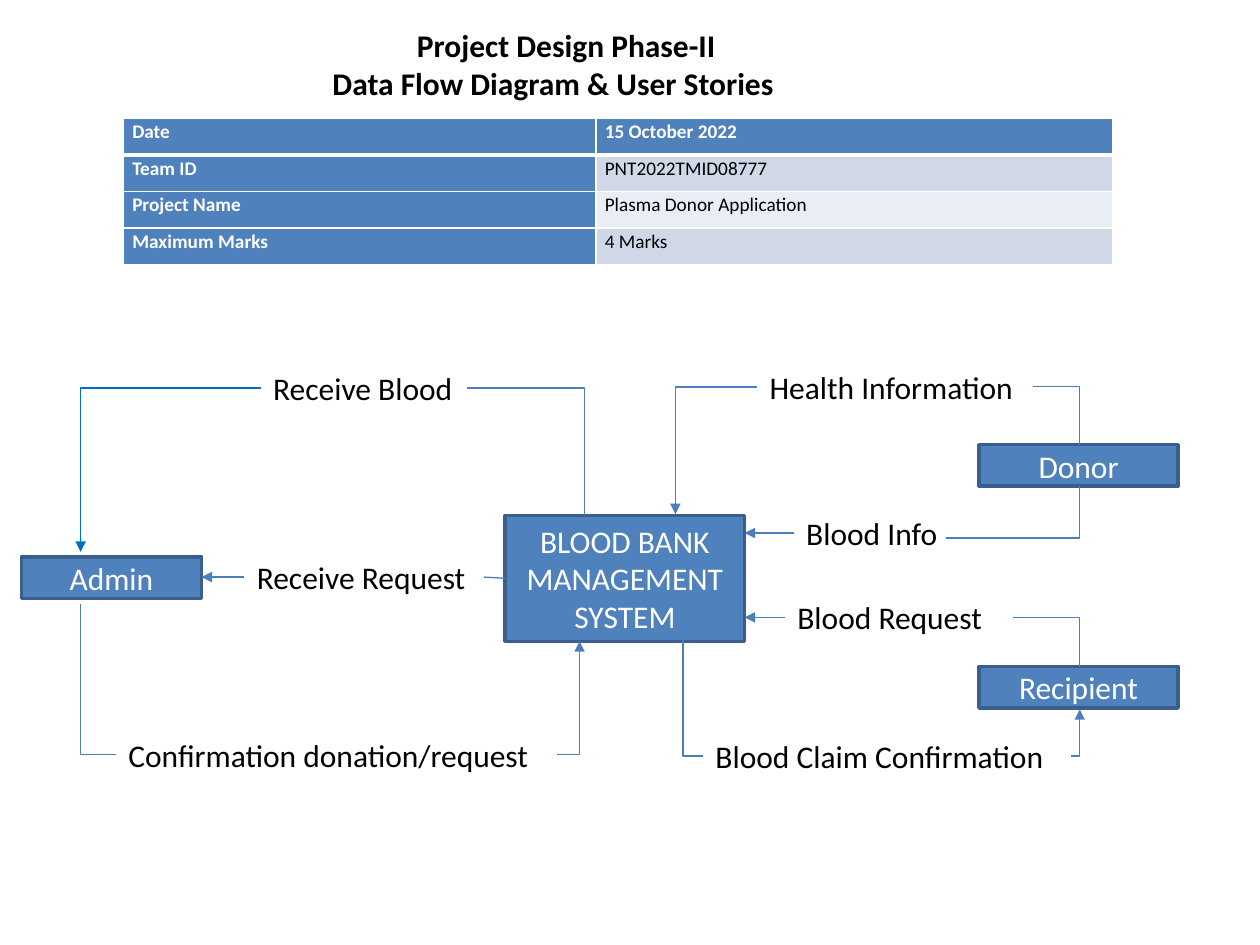
from typing import NamedTuple

from lxml import etree
from pptx import Presentation
from pptx.dml.color import RGBColor
from pptx.enum import shapes, text
from pptx.oxml import ns
from pptx.util import Emu, Inches, Pt

FONT = "Calibri"
BLUE = RGBColor(0x4F, 0x81, 0xBD)
OUTLINE = RGBColor(0x3A, 0x5F, 0x8C)
FLOW = RGBColor(0x4B, 0x7E, 0xBC)
BRIGHT = RGBColor(0x00, 0x70, 0xC0)
WHITE = RGBColor(0xFF, 0xFF, 0xFF)
BLACK = RGBColor(0x00, 0x00, 0x00)
BAND_DARK = RGBColor(0xD0, 0xD8, 0xE8)
BAND_LIGHT = RGBColor(0xE9, 0xED, 0xF4)


class Box(NamedTuple):
    lines: list[str]
    left: float
    top: float
    width: float
    height: float = 0.33


class Label(NamedTuple):
    wording: str
    left: float
    top: float
    width: float


class Flow(NamedTuple):
    start: tuple[float, float]
    end: tuple[float, float]
    arrow: bool = False
    color: RGBColor = FLOW


BOXES = [
    Box(["BLOOD BANK", "MANAGEMENT", "SYSTEM"], 4.01, 4.09, 1.9, 1),
    Box(["Admin"], 0.17, 4.42, 1.43),
    Box(["Recipient"], 7.77, 5.29, 1.58),
    Box(["Donor"], 7.77, 3.53, 1.58),
]
LABELS = [
    Label("Health Information", 6.01, 2.87, 2.19),
    Label("Blood Info", 6.3, 4.03, 1.32),
    Label("Blood Request", 6.23, 4.7, 1.81),
    Label("Blood Claim Confirmation", 5.58, 5.8, 2.92),
    Label("Receive Blood", 2.07, 2.88, 1.64),
    Label("Receive Request", 1.94, 4.38, 1.9),
    Label("Confirmation donation/request", 0.92, 5.79, 3.5),
]
BENT_FLOWS = [
    Flow((2.07, 3.08), (0.64, 4.38), True, BRIGHT),
    Flow((3.71, 3.08), (4.64, 4.09)),
    Flow((8.2, 3.07), (8.57, 3.53)),
    Flow((6.01, 3.07), (5.36, 4.08), True),
    Flow((7.51, 4.27), (8.57, 3.86)),
    Flow((8.04, 4.9), (8.57, 5.29)),
    Flow((5.58, 6), (5.42, 5.08)),
    Flow((0.92, 5.99), (0.64, 4.79)),
    Flow((4.42, 5.99), (4.6, 5.09), True),
    Flow((8.5, 6), (8.57, 5.63), True),
]
STRAIGHT_FLOWS = [
    Flow((1.94, 4.58), (1.6, 4.58), True),
    Flow((4.01, 4.59), (3.84, 4.58)),
    Flow((6.3, 4.23), (5.91, 4.23), True),
    Flow((6.23, 4.9), (5.91, 4.9), True),
]
PROJECT_ROWS = [
    ("Date", "15 October 2022"),
    ("Team ID", "PNT2022TMID08777"),
    ("Project Name", "Plasma Donor Application"),
    ("Maximum Marks", "4 Marks"),
]


def add_run(paragraph, wording: str, color: RGBColor, size: float = 18, bold: bool = False) -> None:
    run = paragraph.add_run()
    run.text = wording
    run.font.name = FONT
    run.font.size = Pt(size)
    run.font.bold = bold
    run.font.color.rgb = color


def add_lines(frame, lines: list[str], color: RGBColor, bold: bool = False, alignment=None) -> None:
    for index, line in enumerate(lines):
        paragraph = frame.add_paragraph() if index else frame.paragraphs[0]
        paragraph.alignment = alignment
        add_run(paragraph, line, color, bold=bold)


def add_text(slide, lines: list[str], left: float, top: float, width: float, height: float, bold: bool = False):
    shape = slide.shapes.add_textbox(Inches(left), Inches(top), Inches(width), Inches(height))
    shape.text_frame.word_wrap = True
    add_lines(shape.text_frame, lines, BLACK, bold)
    return shape


def add_box(slide, box: Box) -> None:
    shape = slide.shapes.add_shape(
        shapes.MSO_SHAPE.RECTANGLE, Inches(box.left), Inches(box.top), Inches(box.width), Inches(box.height)
    )
    shape.shadow.inherit = False
    shape.fill.solid()
    shape.fill.fore_color.rgb = BLUE
    shape.line.color.rgb = OUTLINE
    shape.line.width = Pt(2)
    shape.text_frame.word_wrap = True
    shape.text_frame.vertical_anchor = text.MSO_ANCHOR.MIDDLE
    add_lines(shape.text_frame, box.lines, WHITE, alignment=text.PP_ALIGN.CENTER)


def add_flow(slide, flow: Flow, bent: bool) -> None:
    kind = shapes.MSO_CONNECTOR.ELBOW if bent else shapes.MSO_CONNECTOR.STRAIGHT
    points = [Inches(value) for value in (*flow.start, *flow.end)]
    connector = slide.shapes.add_connector(kind, *points)
    connector.line.color.rgb = flow.color
    connector.line.width = Pt(0.75)
    properties = connector._element.spPr
    if flow.arrow:
        etree.SubElement(connector.line._get_or_add_ln(), ns.qn("a:tailEnd"), type="triangle")
    etree.SubElement(properties, ns.qn("a:effectLst"))
    if bent:
        properties.find(ns.qn("a:prstGeom")).set("prst", "bentConnector2")
        transform = properties.find(ns.qn("a:xfrm"))
        if transform.attrib.pop("flipH", None):
            transform.set("rot", "10800000")
            if not transform.attrib.pop("flipV", None):
                transform.set("flipV", "1")


def add_borders(cell, bottom_width: float) -> None:
    properties = cell._tc.get_or_add_tcPr()
    for index, side in enumerate(("lnL", "lnR", "lnT", "lnB")):
        width = bottom_width if side == "lnB" else 1
        border = etree.Element(ns.qn(f"a:{side}"), w=str(Pt(width)))
        fill = etree.SubElement(border, ns.qn("a:solidFill"))
        etree.SubElement(fill, ns.qn("a:srgbClr"), val=str(WHITE))
        properties.insert(index, border)


def add_project_table(slide) -> None:
    frame = slide.shapes.add_table(len(PROJECT_ROWS), 2, Inches(0.98), Inches(0.94), Inches(7.85), Inches(1.15))
    table = frame.table
    for column, width in zip(table.columns, (3.75, 4.1)):
        column.width = Inches(width)
    for row, wordings in enumerate(PROJECT_ROWS):
        table.rows[row].height = Inches(0.29)
        for column, wording in enumerate(wordings):
            cell = table.cell(row, column)
            heading = row == 0 or column == 0
            cell.margin_left = cell.margin_right = Inches(0.07)
            cell.margin_top = cell.margin_bottom = Emu(0)
            cell.fill.solid()
            cell.fill.fore_color.rgb = BLUE if heading else BAND_DARK if row % 2 else BAND_LIGHT
            add_borders(cell, 1 if row else 3)
            paragraph = cell.text_frame.paragraphs[0]
            paragraph.line_spacing = 1.07
            add_run(paragraph, wording, WHITE if heading else BLACK, 11, heading)


def main() -> None:
    presentation = Presentation()
    presentation.slide_width = Inches(10)
    presentation.slide_height = Inches(7.5)
    slide = presentation.slides.add_slide(presentation.slide_layouts[6])
    title_lines = ["Project Design Phase-II", "Data Flow Diagram & User Stories"]
    title = add_text(slide, title_lines, 2.54, 0.16, 4.45, 1.01, True)
    first_line = title.text_frame.paragraphs[0]._p.get_or_add_pPr()
    first_line.set("marL", str(Inches(0.67)))
    add_project_table(slide)
    for box in BOXES:
        add_box(slide, box)
    for label in LABELS:
        add_text(slide, [label.wording], label.left, label.top, label.width, 0.4)
    for flow in BENT_FLOWS:
        add_flow(slide, flow, True)
    for flow in STRAIGHT_FLOWS:
        add_flow(slide, flow, False)
    presentation.save("out.pptx")


main()
